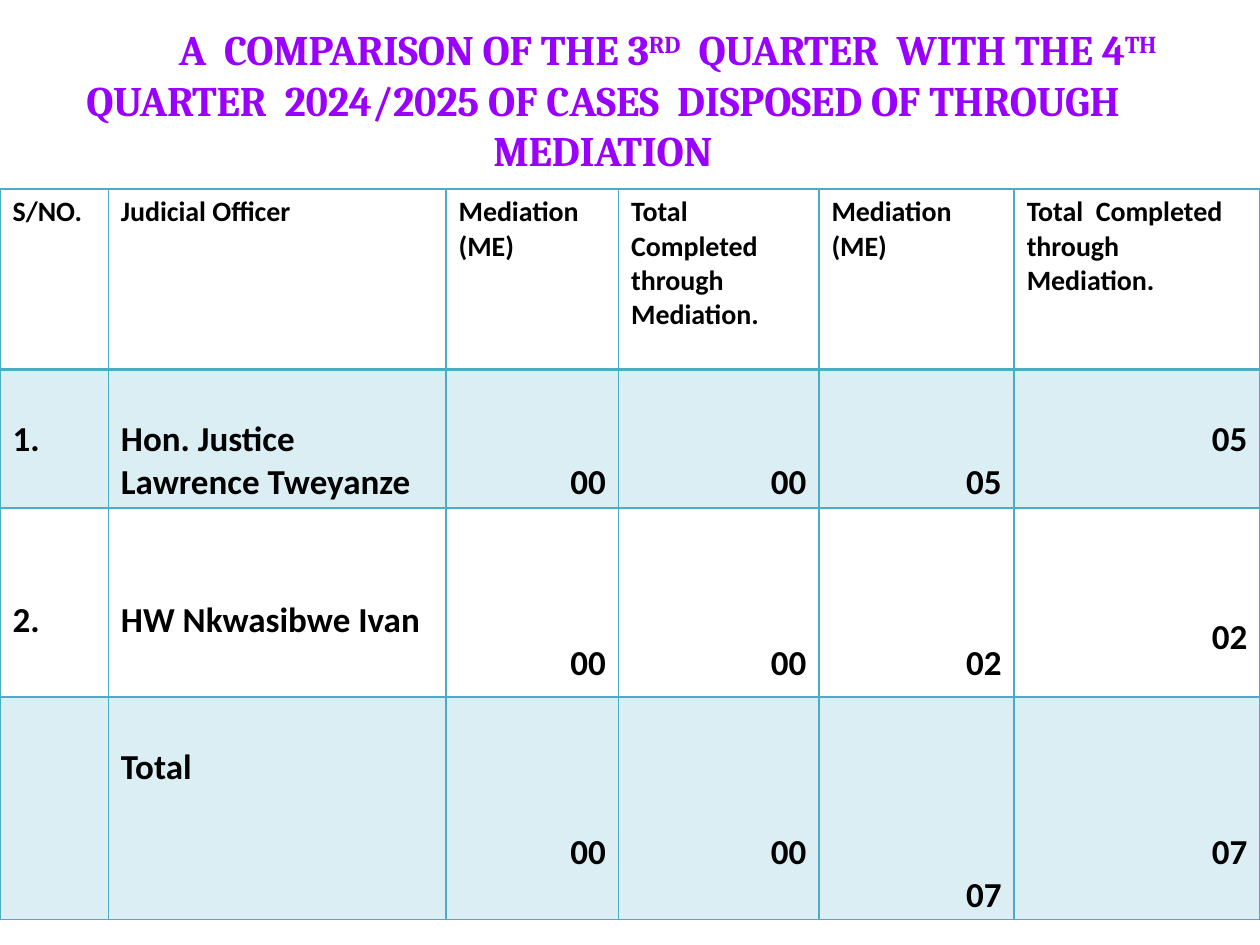
from typing import NamedTuple

from lxml.etree import SubElement
from pptx import Presentation
from pptx.dml.color import RGBColor
from pptx.enum.text import MSO_ANCHOR, PP_ALIGN as Align
from pptx.oxml.ns import qn
from pptx.util import Inches, Pt

COLORS = {"title": "9900FF", "text": "000000", "accent": "4BACC6"}
LINE = 0.339  # height of one 20 pt line of text, in inches
PADDING = 0.05

COLUMN_WIDTHS = [0.86, 2.68, 1.37, 1.59, 1.55, 1.95]
HEADINGS = ["S/NO.", "Judicial Officer", "Mediation\n(ME)",
            "Total Completed through Mediation.", "Mediation\n(ME)",
            "Total  Completed through Mediation."]


class Entry(NamedTuple):
    text: str
    drop: float = 0  # lines left free above the text


class Row(NamedTuple):
    height: float
    entries: list[Entry]
    size: int = 20
    tinted: bool = False
    rule: float = 1  # width of the line below, in points


ROWS = [
    Row(1.43, [Entry(heading) for heading in HEADINGS], size=16, rule=2),
    Row(1.1, [Entry("1.", 1), Entry("Hon. Justice Lawrence Tweyanze", 1),
              Entry("00", 2), Entry("00", 2), Entry("05", 2), Entry("05", 1)],
        tinted=True),
    Row(1.5, [Entry("2.", 2), Entry("HW Nkwasibwe Ivan", 2),
              Entry("00", 3), Entry("00", 3), Entry("02", 3), Entry("02", 2.4)]),
    Row(1.77, [Entry(""), Entry("Total", 1),
               Entry("00", 3), Entry("00", 3), Entry("07", 4), Entry("07", 3)],
        tinted=True),
]

TITLE = [("A  COMPARISON OF THE 3", False), ("RD", True),
         ("  QUARTER  WITH THE 4", False), ("TH", True),
         (" QUARTER  2024/2025 OF CASES  DISPOSED OF THROUGH MEDIATION", False)]


def rgb(name: str) -> RGBColor:
    return RGBColor.from_string(COLORS[name])


def style(font, face: str, size: int, color: str) -> None:
    font.name, font.size, font.bold = face, Pt(size), True
    font.color.rgb = rgb(color)


def add_border(cell, side: str, width: float) -> None:
    line = SubElement(cell._tc.get_or_add_tcPr(), qn(f"a:ln{side}"), w=str(Pt(width)))
    fill = SubElement(line, qn("a:solidFill"))
    SubElement(fill, qn("a:srgbClr"), val=COLORS["accent"])


def tint(cell) -> None:
    cell.fill.solid()
    cell.fill.fore_color.rgb = rgb("accent")
    color = cell._tc.tcPr.find(f"{qn('a:solidFill')}/{qn('a:srgbClr')}")
    SubElement(color, qn("a:alpha"), val="20000")


def fill_cell(cell, entry: Entry, row: Row, rule_above: float) -> None:
    for side, width in zip("LRTB", (1, 1, rule_above, row.rule)):
        add_border(cell, side, width)
    if row.tinted:
        tint(cell)
    else:
        cell.fill.background()
    cell.vertical_anchor = MSO_ANCHOR.TOP
    cell.margin_top = Inches(PADDING + entry.drop * LINE)
    cell.margin_bottom = Inches(0.02)
    cell.text_frame.text = entry.text
    for paragraph in cell.text_frame.paragraphs:
        paragraph.alignment = Align.RIGHT if entry.text.isdigit() else Align.LEFT
        style(paragraph.font, "Calibri", row.size, "text")
        for run in paragraph.runs:
            style(run.font, "Calibri", row.size, "text")


def add_title(slide) -> None:
    frame = slide.shapes.add_textbox(
        Inches(-0.01), Inches(0.17), Inches(9.54), Inches(1.23)).text_frame
    frame.word_wrap = True
    frame.margin_left = frame.margin_right = frame.margin_bottom = 0
    frame.margin_top = Inches(0.02)
    heading = frame.paragraphs[0]
    heading.alignment = Align.CENTER
    # First line set in to the right
    properties = heading._p.get_or_add_pPr()
    properties.set("marL", str(Inches(0.05)))
    properties.set("indent", str(Inches(1.03)))
    for text, raised in TITLE:
        run = heading.add_run()
        run.text = text
        style(run.font, "Cambria", 24, "title")
        run_properties = run._r.get_or_add_rPr()
        run_properties.set("spc", "-10")
        if raised:
            run_properties.set("baseline", "30000")


def add_cases_table(slide) -> None:
    table = slide.shapes.add_table(
        len(ROWS), len(COLUMN_WIDTHS), 0, Inches(1.5),
        Inches(sum(COLUMN_WIDTHS)), Inches(sum(row.height for row in ROWS))).table
    table.first_row = table.horz_banding = False
    for column, width in zip(table.columns, COLUMN_WIDTHS):
        column.width = Inches(width)
    rule_above = 1
    for index, row in enumerate(ROWS):
        table.rows[index].height = Inches(row.height)
        for cell, entry in zip(table.rows[index].cells, row.entries):
            fill_cell(cell, entry, row, rule_above)
        rule_above = row.rule


def main() -> None:
    deck = Presentation()
    deck.slide_width, deck.slide_height = Inches(10), Inches(7.5)
    slide = deck.slides.add_slide(deck.slide_layouts[6])
    add_title(slide)
    add_cases_table(slide)
    deck.save("out.pptx")


if __name__ == "__main__":
    main()
